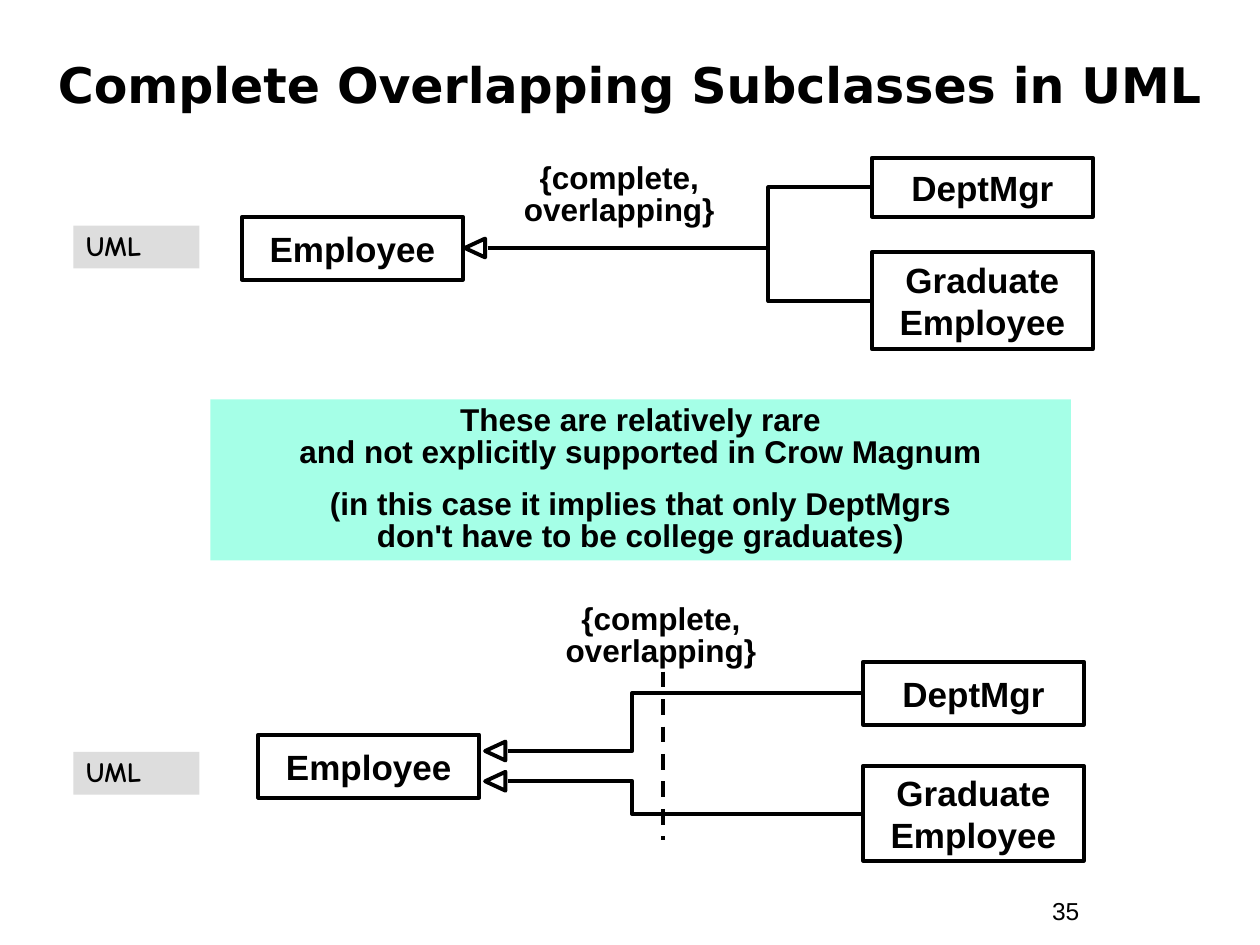
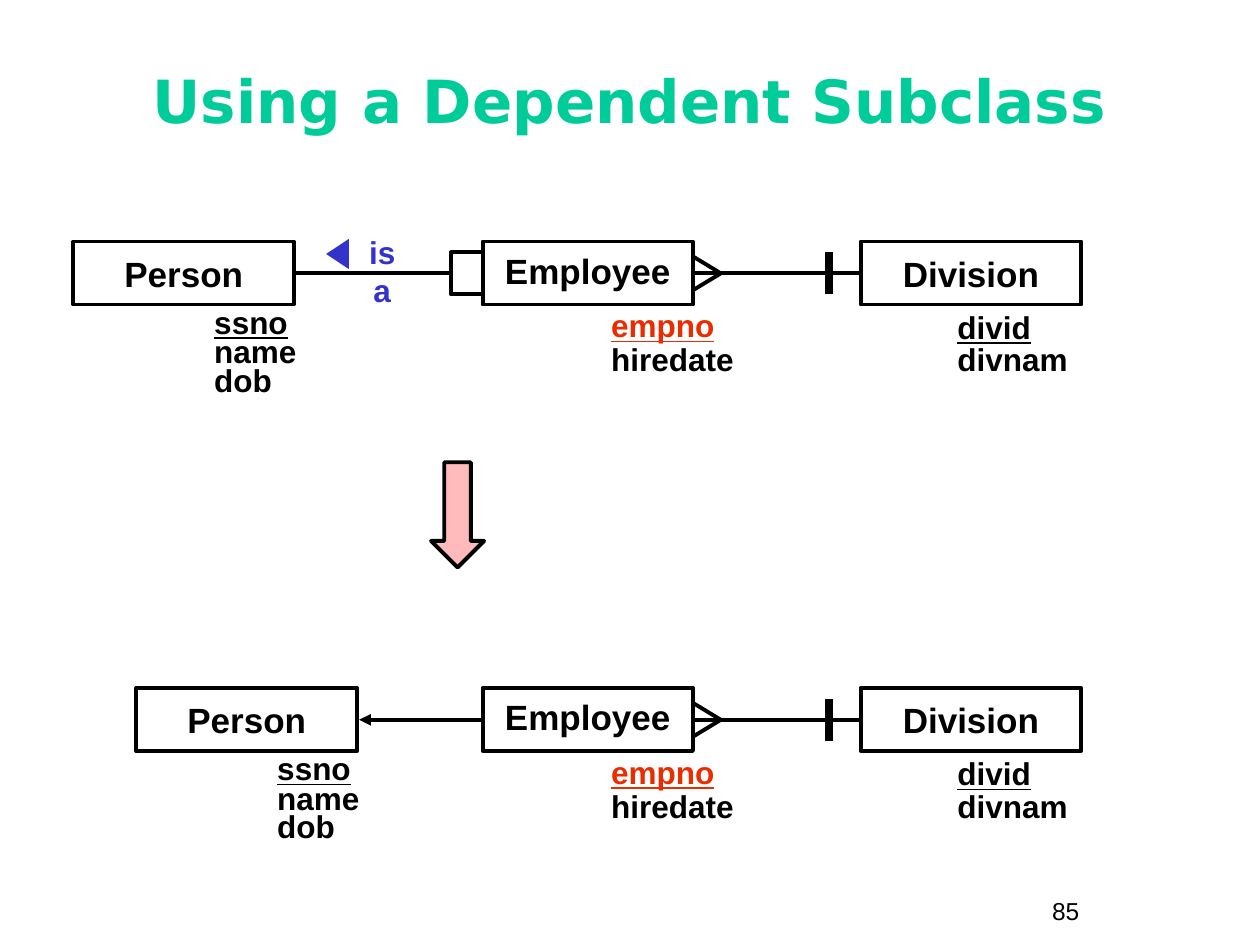
from dataclasses import dataclass
from typing import Any

from lxml import etree
from pptx import Presentation
from pptx import util as u
from pptx.dml.color import RGBColor
from pptx.enum import dml, shapes, text
from pptx.oxml.ns import qn

RECT = shapes.MSO_SHAPE.RECTANGLE
TOP, MID = text.MSO_ANCHOR.TOP, text.MSO_ANCHOR.MIDDLE
LEFT, CENTER = text.PP_ALIGN.LEFT, text.PP_ALIGN.CENTER


class Theme:
    ink, green, red, blue = "000000", "00CC99", "EA2D00", "3333CC"
    grey, mint, pink = "DDDDDD", "A5FFE7", "FFBBBB"
    head, body, hand = "DejaVu Sans", "Arial", "Comic Neue"
    name, label, tag, page = 20, 18, 16, 14
    pen, bar = 2.25, 4.5


def color(code):
    return RGBColor.from_string(code)


def write(shape, paras, anchor=TOP, wrap=True, **fmt):
    """Fill a shape; each paragraph is a string or (string, own format)."""
    frame = shape.text_frame
    frame.word_wrap, frame.vertical_anchor = wrap, anchor
    for i, item in enumerate([paras] if isinstance(paras, str) else paras):
        words, own = (item, {}) if isinstance(item, str) else item
        look = dict(size=Theme.label, font=Theme.body, ink=Theme.ink, bold=True,
                    under=False, align=LEFT, lead=1.0, before=0) | fmt | own
        para = frame.add_paragraph() if i else frame.paragraphs[0]
        para.alignment, para.line_spacing = look["align"], look["lead"]
        if i and look["before"]:
            para.space_before = u.Pt(look["before"])
        for j, part in enumerate(words.split("\n")):
            if j:
                para.add_line_break()
            run = para.add_run()
            run.text = part
            font = run.font
            font.size, font.name = u.Pt(look["size"]), look["font"]
            font.bold, font.underline = look["bold"], look["under"]
            font.color.rgb = color(look["ink"])


@dataclass
class Area:
    """A region of a slide; its parts are placed from its top left corner."""
    slide: Any
    x: float = 0
    y: float = 0

    def spot(self, x, y):
        return u.Cm(self.x + x), u.Cm(self.y + y)

    def text(self, x, y, w, h, paras, **fmt):
        box = self.slide.shapes.add_textbox(*self.spot(x, y), u.Cm(w), u.Cm(h))
        write(box, paras, **fmt)

    def shape(self, x, y, w, h, kind=RECT, fill=None, line=None):
        item = self.slide.shapes.add_shape(kind, *self.spot(x, y), u.Cm(w), u.Cm(h))
        return paint(item, fill, line)

    def entity(self, x, y, w, h, name, lead=1.0):
        box = self.shape(x, y, w, h, line=Theme.ink)
        write(box, name, anchor=MID, align=CENTER, size=Theme.name, lead=lead)

    def line(self, start, end, bend=None, width=Theme.pen, dash=False, head=False):
        """Draw a line, or an elbow that turns at the share bend of its width."""
        kind = shapes.MSO_CONNECTOR.STRAIGHT if bend is None else shapes.MSO_CONNECTOR.ELBOW
        link = self.slide.shapes.add_connector(kind, *self.spot(*start), *self.spot(*end))
        link.line.width, link.line.color.rgb = u.Pt(width), color(Theme.ink)
        if dash:
            link.line.dash_style = dml.MSO_LINE.DASH
        props = link._element.spPr
        if bend is not None:
            guides = props.find(qn("a:prstGeom")).get_or_add_avLst()
            etree.SubElement(guides, qn("a:gd"), name="adj1",
                             fmla=f"val {round(bend * 100000)}")
        if head:
            etree.SubElement(props.find(qn("a:ln")), qn("a:headEnd"), type="triangle")
        etree.SubElement(props, qn("a:effectLst"))

    def tip(self, x, y, w=0.41, h=0.38):
        """Draw a hollow arrowhead whose point is at x, y."""
        points = [self.spot(x + w, y + h / 2), self.spot(x + w, y - h / 2)]
        form = self.slide.shapes.build_freeform(*self.spot(x, y))
        form.add_line_segments(points, close=True)
        paint(form.convert_to_shape(), None, Theme.ink)


def paint(item, fill, line):
    item.shadow.inherit = False
    if fill:
        item.fill.solid()
        item.fill.fore_color.rgb = color(fill)
    else:
        item.fill.background()
    if line:
        item.line.color.rgb, item.line.width = color(line), u.Pt(Theme.pen)
    else:
        item.line.fill.background()
    return item


def start(deck, title, page, height, **fmt):
    """Add a slide with its title and page number."""
    slide = deck.slides.add_slide(deck.slide_layouts[6])
    area = Area(slide)
    area.text(0.84, 0.84, 23.7, height, title, anchor=MID, align=CENTER,
              font=Theme.head, **fmt)
    area.text(20.96, 17.93, 2.34, 0.86, page, size=Theme.page, bold=False)
    return slide


def marks(area, tag, label):
    """Place the notation tag and the constraint label."""
    box = area.shape(0, tag, 2.54, 0.86, fill=Theme.grey)
    write(box, "UML", size=Theme.tag, font=Theme.hand, lead=0.9)
    area.text(label, 0, 4.65, 1.55, "{complete, overlapping}", align=CENTER, lead=0.85)


def joined(area):
    """Subclasses that share one arrow."""
    area.entity(3.4, 1.19, 4.45, 1.27, "Employee")
    area.entity(16.1, 0, 4.45, 1.19, "DeptMgr")
    area.entity(16.1, 1.9, 4.45, 1.96, "Graduate\nEmployee")
    joint = (14.01, 1.82)
    for y in (0.6, 2.89):
        area.line(joint, (16.1, y), bend=0)
    area.line((8.35, 1.82), joint)
    area.tip(7.89, 1.82)
    marks(area, tag=1.37, label=8.68)


def split(area):
    """Subclasses with an arrow each, crossed by a dashed line."""
    area.entity(3.73, 2.74, 4.45, 1.27, "Employee")
    area.entity(15.92, 1.27, 4.45, 1.27, "DeptMgr")
    area.entity(15.92, 3.37, 4.45, 1.91, "Graduate\nEmployee")
    for y, end, bend in ((3.07, 1.9, 0.35), (3.68, 4.34, 0.35)):
        area.line((8.76, y), (15.92, end), bend=bend)
        area.tip(8.3, y)
    area.line((11.88, 1.47), (11.88, 4.87), dash=True)
    marks(area, tag=3.09, label=9.52)


def note(area):
    box = area.shape(0, 0, 17.35, 3.25, fill=Theme.mint)
    write(box, ["These are relatively rare\nand not explicitly supported in Crow Magnum",
                "(in this case it implies that only DeptMgrs\n"
                "don't have to be college graduates)"],
          align=CENTER, lead=0.85, before=11.2)


def chain(area, person):
    """Person, Employee and Division in a row; person is the left edge of the first."""
    key = {"under": True}
    area.entity(person, 0, 4.45, 1.27, "Person")
    area.text(person + 2.59, 1.2, 2.74, 2.08,
              [("ssno", key | {"lead": 0.9}), "name", "dob"], lead=0.75)
    area.entity(9.73, 0, 4.24, 1.27, "Employee", lead=0.9)
    area.text(12.07, 1.27, 3.6, 1.63,
              [("empno", key | {"ink": Theme.red}), "hiredate"], lead=0.9)
    area.entity(17.35, 0, 4.45, 1.27, "Division")
    area.text(19.05, 1.33, 4.45, 1.55, [("divid", key), "divnam"], lead=0.85)

    mid = 0.64
    area.line((14.02, mid), (17.32, mid))
    for toe in (-0.34, 0.34):
        area.line((14.53, mid), (13.97, mid + toe))
    area.line((16.71, mid - 0.42), (16.71, mid + 0.42), width=Theme.bar)


def role(area):
    """The is-a link between Person and its dependent subclass."""
    area.line((5.97, 0.64), (9.06, 0.64))
    area.shape(9.09, 0.22, 0.64, 0.84, line=Theme.ink)
    area.text(6.93, -0.3, 1.55, 1.02, "is a", wrap=False, align=CENTER, ink=Theme.blue)
    mark = area.shape(6.5, 0.02, 0.61, 0.46, shapes.MSO_SHAPE.ISOSCELES_TRIANGLE,
                      fill=Theme.blue)
    mark.rotation = 270


def main():
    deck = Presentation()
    deck.slide_width, deck.slide_height = u.Cm(25.4), u.Cm(19.05)

    slide = start(deck, "Complete Overlapping Subclasses in UML", "35", 1.7, size=28)
    joined(Area(slide, 1.48, 3.18))
    note(Area(slide, 4.24, 8.05))
    split(Area(slide, 1.48, 12.07))

    slide = start(deck, "Using a Dependent Subclass", "85", 2.34, size=34, ink=Theme.green)
    upper, lower = Area(slide, 0, 4.87), Area(slide, 0, 13.87)
    chain(upper, person=1.48)
    role(upper)
    Area(slide).shape(8.69, 9.32, 1.07, 2.12, shapes.MSO_SHAPE.DOWN_ARROW,
                      fill=Theme.pink, line=Theme.ink)
    chain(lower, person=2.75)
    lower.line((7.24, 0.64), (9.7, 0.64), head=True)

    deck.save("out.pptx")


if __name__ == "__main__":
    main()
